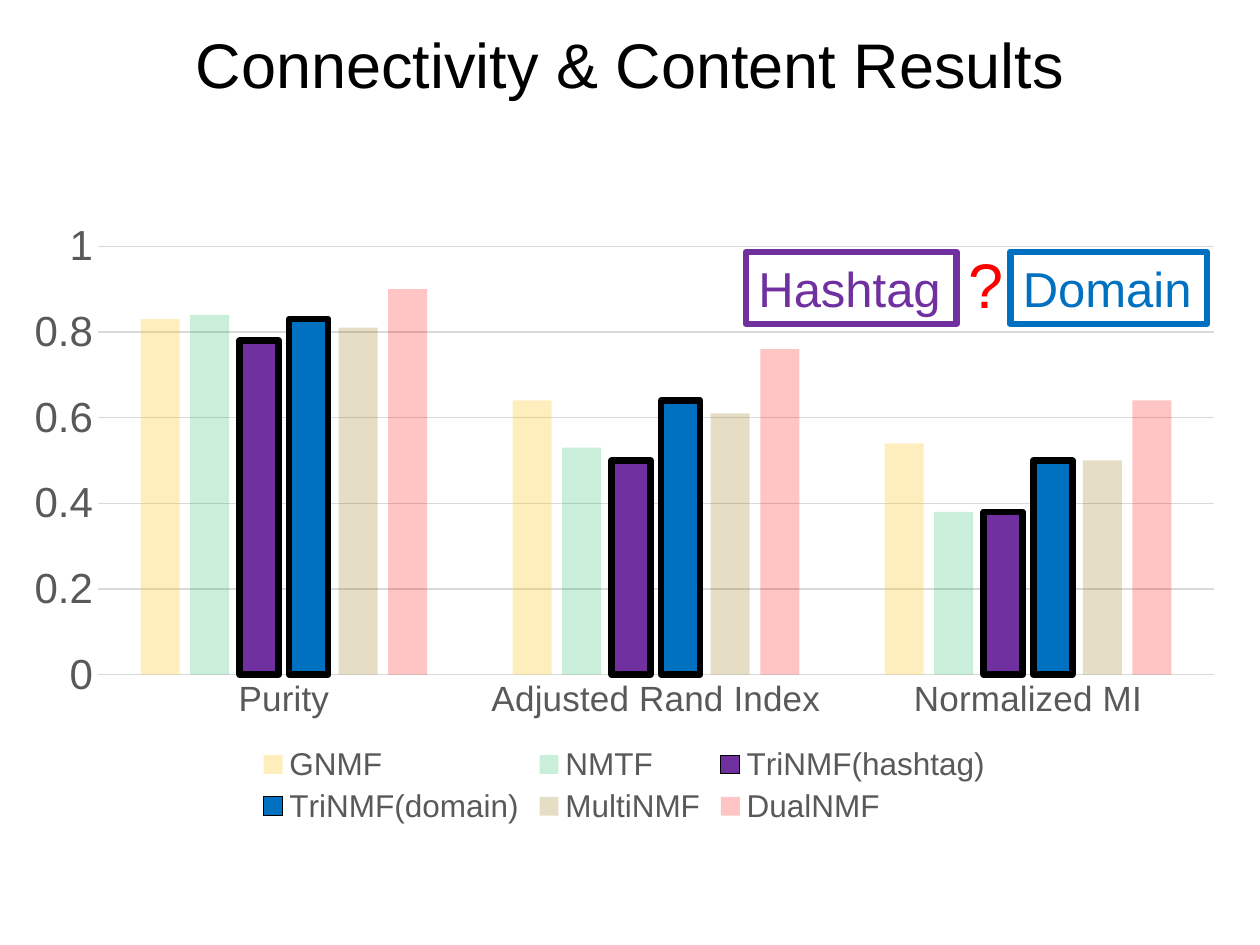
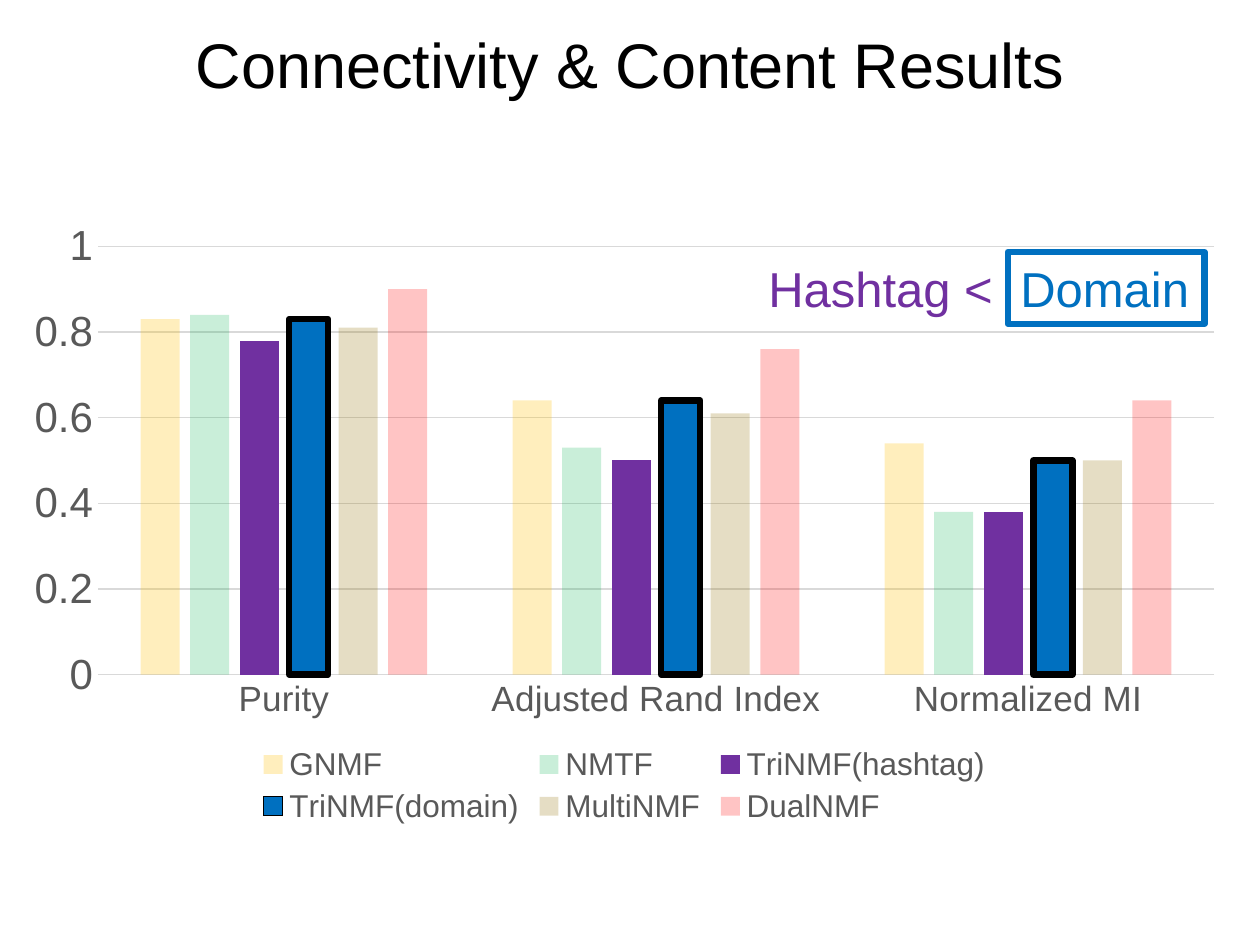
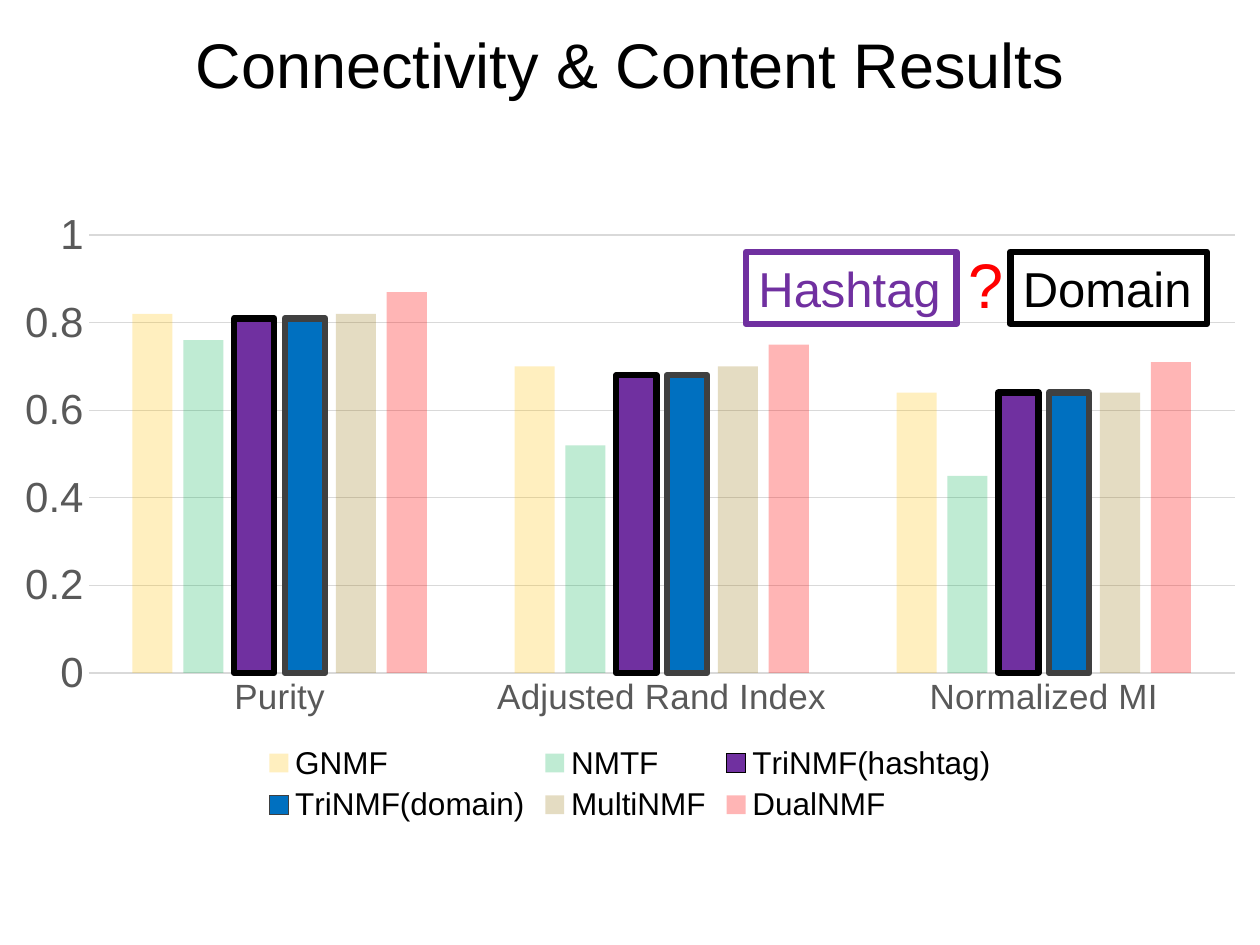
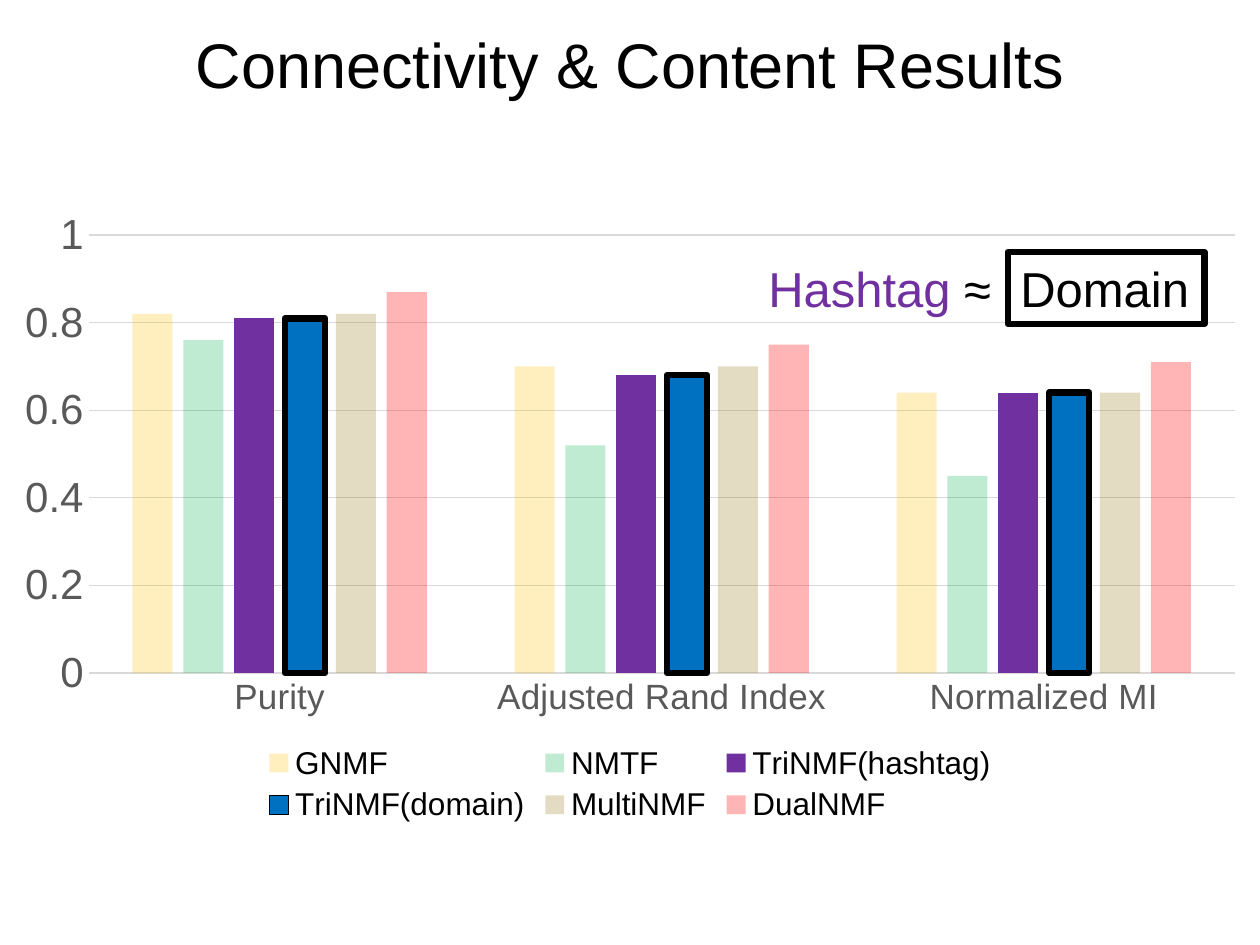
from pptx import Presentation
from pptx.chart.data import CategoryChartData
from pptx.dml.color import RGBColor
from pptx.enum.chart import XL_CHART_TYPE, XL_LEGEND_POSITION, XL_TICK_MARK
from pptx.enum.shapes import MSO_SHAPE
from pptx.enum.text import MSO_ANCHOR, MSO_AUTO_SIZE, PP_ALIGN
from pptx.oxml.ns import qn
from pptx.util import Cm, Pt
from lxml import etree

COLUMN = XL_CHART_TYPE.COLUMN_CLUSTERED
BOTTOM = XL_LEGEND_POSITION.BOTTOM
NO_TICK = XL_TICK_MARK.NONE
RECT = MSO_SHAPE.RECTANGLE
TOP, MIDDLE = MSO_ANCHOR.TOP, MSO_ANCHOR.MIDDLE
GROW, FIXED = MSO_AUTO_SIZE.SHAPE_TO_FIT_TEXT, MSO_AUTO_SIZE.NONE
LEFT, CENTER = PP_ALIGN.LEFT, PP_ALIGN.CENTER

BLACK = RGBColor(0x00, 0x00, 0x00)
DARK = RGBColor(0x40, 0x40, 0x40)
GREY = RGBColor(0x59, 0x59, 0x59)
PALE = RGBColor(0xD9, 0xD9, 0xD9)
GOLD = RGBColor(0xFF, 0xC0, 0x00)
GREEN = RGBColor(0x00, 0xB0, 0x50)
PURPLE = RGBColor(0x70, 0x30, 0xA0)
BLUE = RGBColor(0x00, 0x70, 0xC0)
BROWN = RGBColor(0x92, 0x6F, 0x00)
RED = RGBColor(0xFF, 0x00, 0x00)

FONT = "Arial"
TITLE = "Connectivity & Content Results"
METRICS = ("Purity", "Adjusted Rand Index", "Normalized MI")
METHODS = {
    "GNMF": GOLD,
    "NMTF": GREEN,
    "TriNMF(hashtag)": PURPLE,
    "TriNMF(domain)": BLUE,
    "MultiNMF": BROWN,
    "DualNMF": RED,
}
HASHTAG, DOMAIN = "TriNMF(hashtag)", "TriNMF(domain)"
EDGE = Pt(3.75)
HAIR = Pt(0.75)
ROW, HIGH = 5.08, 1.45

FIRST = {
    "area": (0.2, 4.24, 24.77, 12.5),
    "key": GREY,
    "alphas": (26, 21, 100, 100, 23, 23),
    "scores": (
        (0.83, 0.64, 0.54),
        (0.84, 0.53, 0.38),
        (0.78, 0.5, 0.38),
        (0.83, 0.64, 0.5),
        (0.81, 0.61, 0.5),
        (0.9, 0.76, 0.64),
    ),
}
SECOND = {
    "area": (0, 4.01, 25.4, 12.7),
    "key": BLACK,
    "alphas": (25, 25, 100, 100, 24, 29),
    "scores": (
        (0.82, 0.7, 0.64),
        (0.76, 0.52, 0.45),
        (0.81, 0.68, 0.64),
        (0.81, 0.68, 0.64),
        (0.82, 0.7, 0.64),
        (0.87, 0.75, 0.71),
    ),
}


def style(font, size, color):
    """Set face, size and colour of a font."""
    font.name = FONT
    font.size = Pt(size)
    font.color.rgb = color


def write(shape, parts, size, wrap=True, align=LEFT, anchor=TOP, fit=GROW):
    """Write one paragraph of (text, colour) parts into a shape."""
    frame = shape.text_frame
    frame.auto_size = fit
    frame.word_wrap = wrap
    frame.vertical_anchor = anchor
    para = frame.paragraphs[0]
    para.alignment = align
    style(para.font, size, parts[0][1])
    for text, color in parts:
        run = para.add_run()
        run.text = text
        if color != parts[0][1]:
            run.font.color.rgb = color


def add_text(slide, area, parts, size, **look):
    """Add a plain text box."""
    write(slide.shapes.add_textbox(*map(Cm, area)), parts, size, **look)


def add_frame(slide, left, width, text, color, wrap):
    """Add an outlined label in one colour."""
    shape = slide.shapes.add_shape(RECT, *map(Cm, (left, ROW, width, HIGH)))
    shape.shadow.inherit = False
    shape.fill.background()
    shape.line.color.rgb = color
    shape.line.width = EDGE
    write(shape, [(text, color)], 28, wrap=wrap)


def paint(series, color, alpha, edge):
    """Fill the bars of a series and outline them if an edge is given."""
    fill = series.format.fill
    fill.solid()
    fill.fore_color.rgb = color
    if alpha < 100:
        node = next(series.format._element.iter(qn("a:srgbClr"))) if hasattr(
            series.format, "_element") else next(series._element.iter(qn("a:srgbClr")))
        etree.SubElement(node, qn("a:alpha"), val=str(alpha * 1000))
    line = series.format.line
    if edge is None:
        line.fill.background()
    else:
        line.color.rgb = edge
        line.width = EDGE


def set_axis(axis, size):
    """Give an axis its label font and drop its tick marks."""
    axis.major_tick_mark = axis.minor_tick_mark = NO_TICK
    style(axis.tick_labels.font, size, GREY)


def add_scores(slide, study, edges):
    """Add the score chart of a study with some methods outlined."""
    data = CategoryChartData()
    data.categories = METRICS
    for name, scores in zip(METHODS, study["scores"]):
        data.add_series(name, scores)
    chart = slide.shapes.add_chart(COLUMN, *map(Cm, study["area"]), data).chart
    style(chart.font, 10, BLACK)
    chart.has_title = False

    chart.has_legend = True
    chart.legend.position = BOTTOM
    chart.legend.include_in_layout = False
    style(chart.legend.font, 18, study["key"])

    cats, vals = chart.category_axis, chart.value_axis
    set_axis(cats, 20)
    set_axis(vals, 24)
    vals.minimum_scale, vals.maximum_scale, vals.major_unit = 0, 1, 0.2
    vals.format.line.fill.background()
    for line in (cats.format.line, vals.major_gridlines.format.line):
        line.color.rgb = PALE
        line.width = HAIR

    plot = chart.plots[0]
    plot.gap_width, plot.overlap = 219, -27
    plot.vary_by_categories = False
    for series, alpha in zip(plot.series, study["alphas"]):
        paint(series, METHODS[series.name], alpha, edges.get(series.name))


def add_question(slide, color):
    """Ask how the two labels compare."""
    add_frame(slide, 15.04, 4.24, "Hashtag", PURPLE, True)
    add_frame(slide, 20.37, 3.96, "Domain", color, False)
    add_text(slide, (19.28, 4.83, 1.22, 1.8), [("?", RED)], 36, wrap=False)


def add_answer(slide, sign, tint, color):
    """Show how the two labels compare."""
    parts = [("Hashtag ", PURPLE), (sign, tint)]
    add_text(slide, (15.24, ROW, 5.08, HIGH), parts, 28)
    add_frame(slide, 20.32, 3.96, "Domain", color, False)


def add_page(deck, study, edges):
    """Add a slide with the shared title and a score chart."""
    slide = deck.slides.add_slide(deck.slide_layouts[6])
    add_text(slide, (1.27, 0, 22.86, 2.54), [(TITLE, BLACK)], 36,
             align=CENTER, anchor=MIDDLE, fit=FIXED)
    add_scores(slide, study, edges)
    return slide


def main():
    """Build the four result slides."""
    deck = Presentation()
    deck.slide_width, deck.slide_height = Cm(25.4), Cm(19.05)
    winner = {DOMAIN: BLACK}
    add_question(add_page(deck, FIRST, {HASHTAG: BLACK, DOMAIN: BLACK}), BLUE)
    add_answer(add_page(deck, FIRST, winner), "<", PURPLE, BLUE)
    add_question(add_page(deck, SECOND, {HASHTAG: BLACK, DOMAIN: DARK}), BLACK)
    add_answer(add_page(deck, SECOND, winner), "≈", BLACK, BLACK)
    deck.save("out.pptx")


if __name__ == "__main__":
    main()
